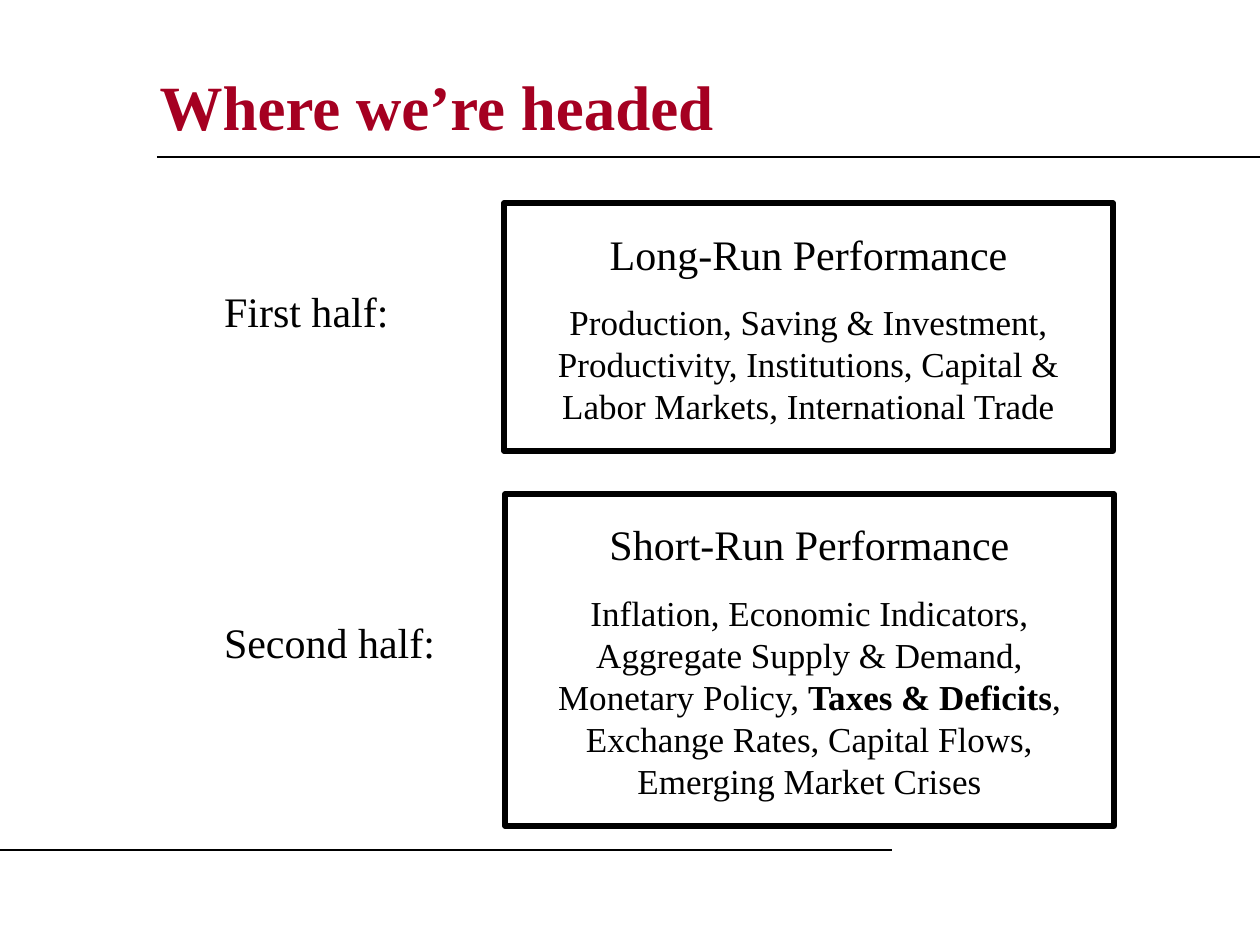
from dataclasses import dataclass

from pptx import Presentation
from pptx.dml.color import RGBColor as RGB
from pptx.enum.shapes import MSO_CONNECTOR as CONN, MSO_SHAPE as SHAPE
from pptx.enum.text import MSO_ANCHOR as ANCHOR, MSO_AUTO_SIZE as FIT, PP_ALIGN as ALIGN
from pptx.oxml.ns import qn
from pptx.util import Emu, Pt


@dataclass(frozen=True)
class Theme:
    font: str = "Times New Roman"
    ink: RGB = RGB(0x00, 0x00, 0x00)
    accent: RGB = RGB(0xA5, 0x00, 0x21)
    title: int = 36
    heading: int = 24
    body: int = 20
    leading: float = 1.2
    rule: float = 0.75
    border: int = 3


THEME = Theme()
PX_PER_INCH = 126
INSET = 25


def px(n):
    return Emu(round(n * 914400 / PX_PER_INCH))


def style(run, size, color=THEME.ink, bold=False):
    f = run.font
    f.name, f.size, f.bold = THEME.font, Pt(size), bold
    f.color.rgb = color


def prepare_frame(tf):
    tf.word_wrap = True
    tf.auto_size = FIT.NONE
    tf.vertical_anchor = ANCHOR.TOP
    tf.margin_left = tf.margin_right = tf.margin_top = tf.margin_bottom = px(INSET)


def add_title(slide, text, box):
    sp = slide.shapes.title
    sp.left, sp.top, sp.width, sp.height = map(px, box)
    tf = sp.text_frame
    tf.text = text
    tf.auto_size = FIT.NONE
    tf.vertical_anchor = ANCHOR.MIDDLE
    p = tf.paragraphs[0]
    p.alignment = ALIGN.LEFT
    style(p.runs[0], THEME.title, THEME.accent, True)


def add_rule(slide, x1, x2, y):
    line = slide.shapes.add_connector(CONN.STRAIGHT, px(x1), px(y), px(x2), px(y))
    line.line.color.rgb = THEME.ink
    line.line.width = Pt(THEME.rule)
    pr = line._element.spPr
    pr.append(pr.makeelement(qn("a:effectLst"), {}))


def add_topic_box(slide, heading, parts, box):
    """Framed box; parts are (text, bold) pairs of the body paragraph."""
    sp = slide.shapes.add_shape(SHAPE.RECTANGLE, *map(px, box))
    sp.shadow.inherit = False
    sp.fill.background()
    sp.line.color.rgb = THEME.ink
    sp.line.width = Pt(THEME.border)
    tf = sp.text_frame
    prepare_frame(tf)
    tf.text = heading
    p = tf.paragraphs[0]
    style(p.runs[0], THEME.heading)
    body = tf.add_paragraph()
    body.space_before = Pt(12.5)
    for text, bold in parts:
        r = body.add_run()
        r.text = text
        style(r, THEME.body, bold=bold)
    for para, size in ((p, THEME.heading), (body, THEME.body)):
        para.alignment = ALIGN.CENTER
        para.line_spacing = Pt(size * THEME.leading)


def add_label(slide, text, box, spacing):
    tf = slide.shapes.add_textbox(*map(px, box)).text_frame
    prepare_frame(tf)
    tf.text = text
    p = tf.paragraphs[0]
    p.line_spacing = Pt(spacing)
    style(p.runs[0], THEME.heading)


def main():
    prs = Presentation()
    prs.slide_width, prs.slide_height = px(1260), px(945)
    slide = prs.slides.add_slide(prs.slide_layouts[5])

    # Title and the two rules
    add_title(slide, "Where we’re headed", (147, 53, 1018, 105))
    add_rule(slide, 157, 1260, 157)
    add_rule(slide, 0, 892, 850)

    # Topics of each half
    add_topic_box(slide, "Long-Run Performance", [
        ("Production, Saving & Investment, Productivity, Institutions, "
         "Capital & Labor Markets, International Trade", False),
    ], (504, 203, 609, 248))
    add_topic_box(slide, "Short-Run Performance", [
        ("Inflation, Economic Indicators, Aggregate Supply & Demand, "
         "Monetary Policy, ", False),
        ("Taxes & Deficits", True),
        (", Exchange Rates, Capital Flows, Emerging Market Crises", False),
    ], (505, 494, 609, 332))

    # Labels; the first sits on a tight line
    add_label(slide, "First half:", (199, 294, 294, 76), 9.5)
    add_label(slide, "Second half:", (199, 592, 294, 101),
              THEME.heading * THEME.leading)

    prs.save("out.pptx")


if __name__ == "__main__":
    main()
